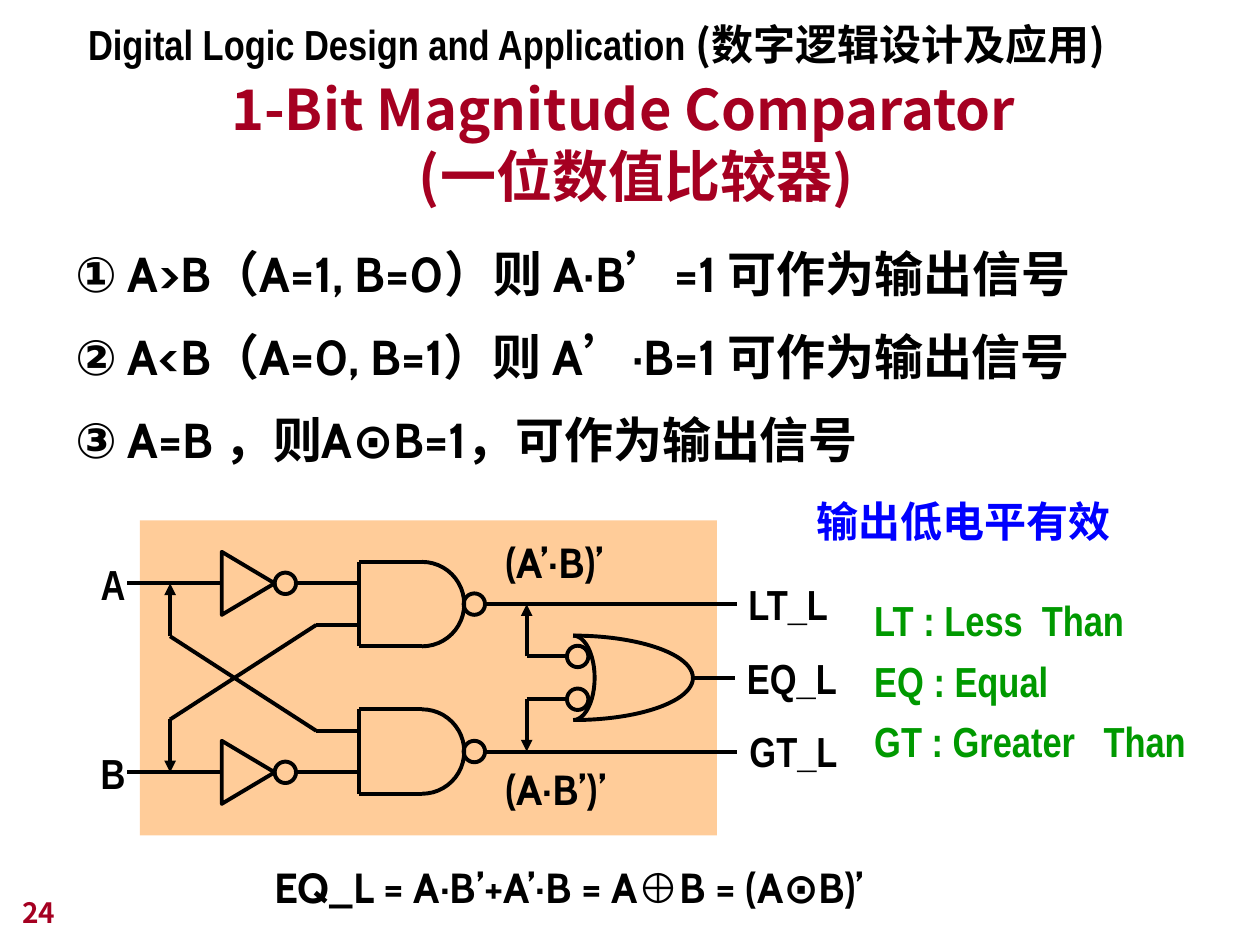
from lxml import etree
from pptx import Presentation
from pptx.dml.color import RGBColor
from pptx.enum.shapes import MSO_CONNECTOR, MSO_SHAPE
from pptx.enum.text import MSO_ANCHOR, MSO_AUTO_SIZE, PP_ALIGN
from pptx.oxml.ns import qn
from pptx.util import Pt

PX = 9144
COLORS = {"ink": "000000", "title": "A50021", "panel": "FFCC99",
          "note": "0000FF", "legend": "009900"}
NARROW, CABIN, CJK, SYMBOL = "Arial Narrow", "Cabin", "Noto Sans CJK JP", "Arial"
TOP, RIGHT, BOTTOM = 162, 0, 54


def px(*values):
    return [round(v * PX) for v in values]


def rgb(name):
    return RGBColor.from_string(COLORS[name])


def add_run(p, text, font=NARROW, size=24, color="ink"):
    r = p.add_run()
    r.text = text
    r.font.name, r.font.size, r.font.bold = font, Pt(size), True
    r.font.color.rgb = rgb(color)
    etree.SubElement(r._r.get_or_add_rPr(), qn("a:ea"), typeface=CJK)


def add_text(s, box, text, wrap=False, grow=True, anchor=MSO_ANCHOR.TOP,
             spacing=None, before=0, tabs=(), **fmt):
    tf = s.shapes.add_textbox(*px(*box)).text_frame
    tf.word_wrap, tf.vertical_anchor = wrap, anchor
    tf.auto_size = MSO_AUTO_SIZE.SHAPE_TO_FIT_TEXT if grow else MSO_AUTO_SIZE.NONE
    for i, line in enumerate(text.split("\n")):
        p = tf.paragraphs[0] if i == 0 else tf.add_paragraph()
        if i < len(tabs) and tabs[i]:
            stops = etree.SubElement(p._p.get_or_add_pPr(), qn("a:tabLst"))
            etree.SubElement(stops, qn("a:tab"), pos=str(tabs[i] * PX), algn="l")
        if spacing:
            p.line_spacing = spacing
        if i and before:
            p.space_before = Pt(before)
        add_run(p, line, **fmt)
    return tf.paragraphs[0]


def add_outline(s, kind, *box):
    sp = s.shapes.add_shape(kind, *px(*box))
    sp.shadow.inherit = False
    sp.fill.background()
    sp.line.color.rgb = rgb("ink")
    sp.line.width = Pt(2.25)
    return sp


def add_wire(s, x1, y1, x2, y2, arrow=False):
    c = s.shapes.add_connector(MSO_CONNECTOR.STRAIGHT, *px(x1, y1, x2, y2))
    c.line.color.rgb = rgb("ink")
    c.line.width = Pt(2.25)
    if arrow:
        etree.SubElement(c.line._get_or_add_ln(), qn("a:tailEnd"), type="triangle")
    etree.SubElement(c._element.spPr, qn("a:effectLst"))


def add_bubble(s, x, cy):
    add_outline(s, MSO_SHAPE.OVAL, x, cy - 8.5, 17, 17)


def add_arc(s, cx, cy, rx, ry, start, end):
    sp = add_outline(s, MSO_SHAPE.ARC, cx - rx, cy - ry, 2 * rx, 2 * ry)
    sp.adjustments[0], sp.adjustments[1] = start, end


def add_inverter(s, x, cy):
    add_outline(s, MSO_SHAPE.ISOSCELES_TRIANGLE, x - 4, cy - 21, 50, 42).rotation = 90
    add_bubble(s, x + 42, cy)


def add_nand(s, x, cy):
    r = 33.5
    add_arc(s, x + 50, cy, r, r, TOP, BOTTOM)
    for y in (cy - r, cy + r):
        add_wire(s, x + 50, y, x, y)
    add_wire(s, x, cy - r, x, cy + r)
    add_bubble(s, x + 83, cy)


def add_or(s, x, cy):
    add_arc(s, x, cy, 17, 33.5, TOP, BOTTOM)
    add_arc(s, x, cy, 95, 33.5, TOP, RIGHT)
    add_arc(s, x, cy, 95, 33.5, RIGHT, BOTTOM)
    for dy in (-17, 17):
        add_bubble(s, x - 5, cy + dy)


def add_circuit(s, x, y, w, h):
    panel = s.shapes.add_shape(MSO_SHAPE.RECTANGLE, *px(x, y, w, h))
    panel.shadow.inherit = False
    panel.fill.solid()
    panel.fill.fore_color.rgb = rgb("panel")
    panel.line.fill.background()

    mid = y + h / 2
    for side in (-1, 1):
        row, out = mid + side * 75, mid + side * 58.5
        cross, turn, tap = mid + side * 42, mid + side * 33, mid + side * 17
        add_inverter(s, x + 65, row)
        add_nand(s, x + 174, out)
        add_wire(s, x - 10, row, x + 65, row)
        add_wire(s, x + 124, row, x + 174, row)
        add_wire(s, x + 24, turn, x + 24, row, arrow=True)
        add_wire(s, x + 24, turn, x + 140, mid - side * 42)
        add_wire(s, x + 140, cross, x + 174, cross)
        add_wire(s, x + 274, out, x + 474, out)
        add_wire(s, x + 307, tap, x + 307, out, arrow=True)
        add_wire(s, x + 307, tap, x + 340, tap)
    add_or(s, x + 344, mid)
    add_wire(s, x + 439, mid, x + 472, mid)

    labels = [("A", -41, 25, 39, NARROW), ("B", -41, 175, 39, NARROW),
              ("LT_L", 473, 41, 85, NARROW), ("EQ_L", 472, 100, 92, NARROW),
              ("GT_L", 474, 158, 90, NARROW),
              ("(A’·B)’", 280, 8, 112, CABIN), ("(A·B’)’", 280, 188, 112, CABIN)]
    for text, dx, dy, width, font in labels:
        add_text(s, (x + dx, y + dy, width, 50), text, font=font)


def add_title(s, *box):
    title = s.shapes.title
    title.left, title.top, title.width, title.height = px(*box)
    tf = title.text_frame
    tf.word_wrap, tf.vertical_anchor = True, MSO_ANCHOR.BOTTOM
    p = tf.paragraphs[0]
    p.alignment = PP_ALIGN.CENTER
    add_run(p, "1-Bit Magnitude Comparator ", font=CJK, size=32, color="title")
    p.add_line_break()
    add_run(p, " (一位数值比较器)", font=CJK, size=32, color="title")


def add_cases(s, *box):
    add_text(s, box, "① A>B（A=1, B=0）则 A·B’=1 可作为输出信号\n"
             "② A<B（A=0, B=1）则 A’·B=1 可作为输出信号\n"
             "③ A=B ，则A⊙B=1，可作为输出信号",
             wrap=True, grow=False, spacing=1.2, before=7, font=CABIN, size=28)


def add_legend(s, x, y, w, h):
    add_text(s, (x - 46, y, 253, 50), "输出低电平有效", font=CABIN, color="note")
    add_text(s, (x, y + 71, w, h - 71),
             "LT : Less\tThan\nEQ : Equal\nGT : Greater\tThan",
             spacing=1.2, tabs=(133, 0, 182), color="legend")


def add_formula(s, *box):
    p = add_text(s, box, "EQ_L = A·B’+A’·B = A", font=CABIN)
    add_run(p, "⊕", font=SYMBOL)
    add_run(p, "B = (A⊙B)’", font=CABIN)


def main():
    prs = Presentation()
    prs.slide_width, prs.slide_height = px(1000, 750)
    s = prs.slides.add_slide(prs.slide_layouts[5])
    add_circuit(s, 111, 413, 458, 250)
    add_title(s, 75, 88, 850, 83)
    add_cases(s, 50, 179, 900, 533)
    add_legend(s, 684, 388, 267, 225)
    add_formula(s, 208, 679, 534, 50)
    p = add_text(s, (60, 10, 841, 50), "Digital Logic Design and Application ", wrap=True)
    add_run(p, "(数字逻辑设计及应用)", font=CJK)
    add_text(s, (8, 692, 208, 50), "24", wrap=True, grow=False,
             anchor=MSO_ANCHOR.BOTTOM, font=CJK, size=16, color="title")
    prs.save("out.pptx")


if __name__ == "__main__":
    main()
